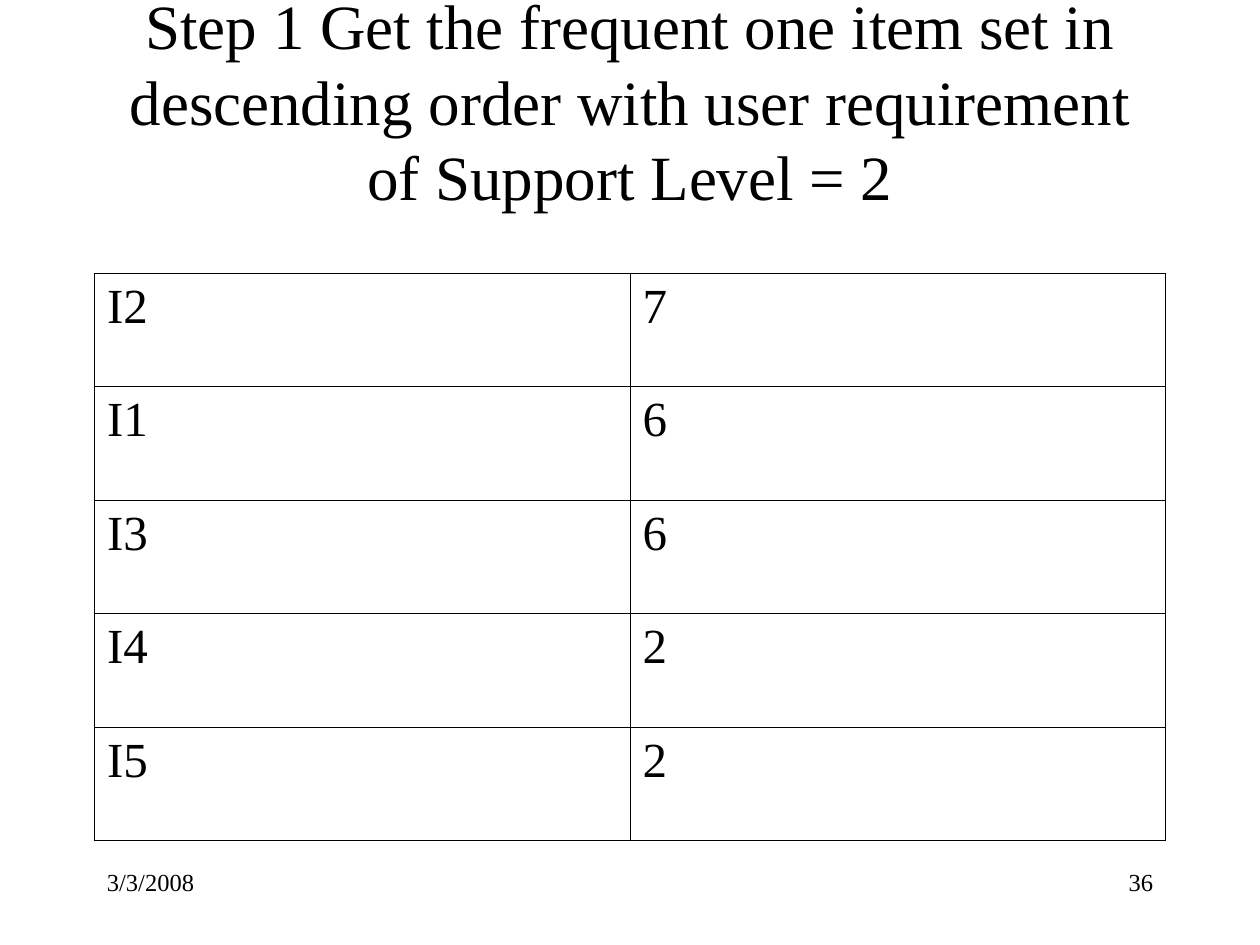
import pptx
import pptx.dml.color
import pptx.enum.text
import pptx.util
from lxml import etree
from pptx.oxml.ns import qn
from pptx.util import Inches

FONT = "Times New Roman"
INK = "000000"
OUTER, INNER = 1.08, 0.45  # border widths in points
ALIGN = pptx.enum.text.PP_ALIGN

SUPPORT_COUNTS = [("I2", "7"), ("I1", "6"), ("I3", "6"), ("I4", "2"), ("I5", "2")]


def color(hex_value):
    return pptx.dml.color.RGBColor.from_string(hex_value)


def write(frame, text, size, align=ALIGN.LEFT):
    frame.text = text
    paragraph = frame.paragraphs[0]
    paragraph.alignment = align
    font = paragraph.runs[0].font
    font.name = FONT
    font.size = pptx.util.Pt(size)
    font.color.rgb = color(INK)
    return paragraph


def add_border(cell, side, width):
    line = etree.SubElement(cell._tc.get_or_add_tcPr(), qn(f"a:ln{side}"),
                            w=str(int(pptx.util.Pt(width))))
    fill = etree.SubElement(line, qn("a:solidFill"))
    etree.SubElement(fill, qn("a:srgbClr"), val=INK)


def place_title(slide, left, top, width, height):
    title = slide.shapes.title
    title.left, title.top, title.width, title.height = left, top, width, height
    frame = title.text_frame
    frame.word_wrap = True
    frame.auto_size = pptx.enum.text.MSO_AUTO_SIZE.NONE
    frame.vertical_anchor = pptx.enum.text.MSO_ANCHOR.MIDDLE
    write(frame, "Step 1 Get the frequent one item set in descending order "
                 "with user requirement of Support Level = 2", 36, ALIGN.CENTER)


def add_support_table(slide, left, top, width, height):
    last_row, last_col = len(SUPPORT_COUNTS) - 1, len(SUPPORT_COUNTS[0]) - 1
    table = slide.shapes.add_table(last_row + 1, last_col + 1,
                                   left, top, width, height).table
    table.first_row = table.horz_banding = False
    for r, row in enumerate(SUPPORT_COUNTS):
        for c, value in enumerate(row):
            cell = table.cell(r, c)
            paragraph = write(cell.text_frame, value, 28)
            paragraph.space_before = pptx.util.Pt(7)
            # Heavier rule on the outside of the grid
            on_edge = {"L": c == 0, "R": c == last_col, "T": r == 0, "B": r == last_row}
            for side, outside in on_edge.items():
                add_border(cell, side, OUTER if outside else INNER)
            cell.fill.background()


def add_footer(slide, left, top, width, height):
    box_width = Inches(2.08)
    parts = [("3/3/2008", left, ALIGN.LEFT),
             ("36", left + width - box_width, ALIGN.RIGHT)]
    for text, x, align in parts:
        box = slide.shapes.add_textbox(x, top, box_width, height)
        box.text_frame.word_wrap = True
        write(box.text_frame, text, 14, align)


def main():
    deck = pptx.Presentation()
    deck.slide_width, deck.slide_height = Inches(10), Inches(7.5)
    slide = deck.slides.add_slide(deck.slide_layouts[5])  # title only
    margin, width = Inches(0.75), Inches(8.5)

    place_title(slide, margin, Inches(0.17), width, Inches(1.25))
    add_support_table(slide, margin, Inches(2.17), width, Inches(4.5))
    add_footer(slide, margin, Inches(6.83), width, Inches(0.5))

    deck.save("out.pptx")


if __name__ == "__main__":
    main()
